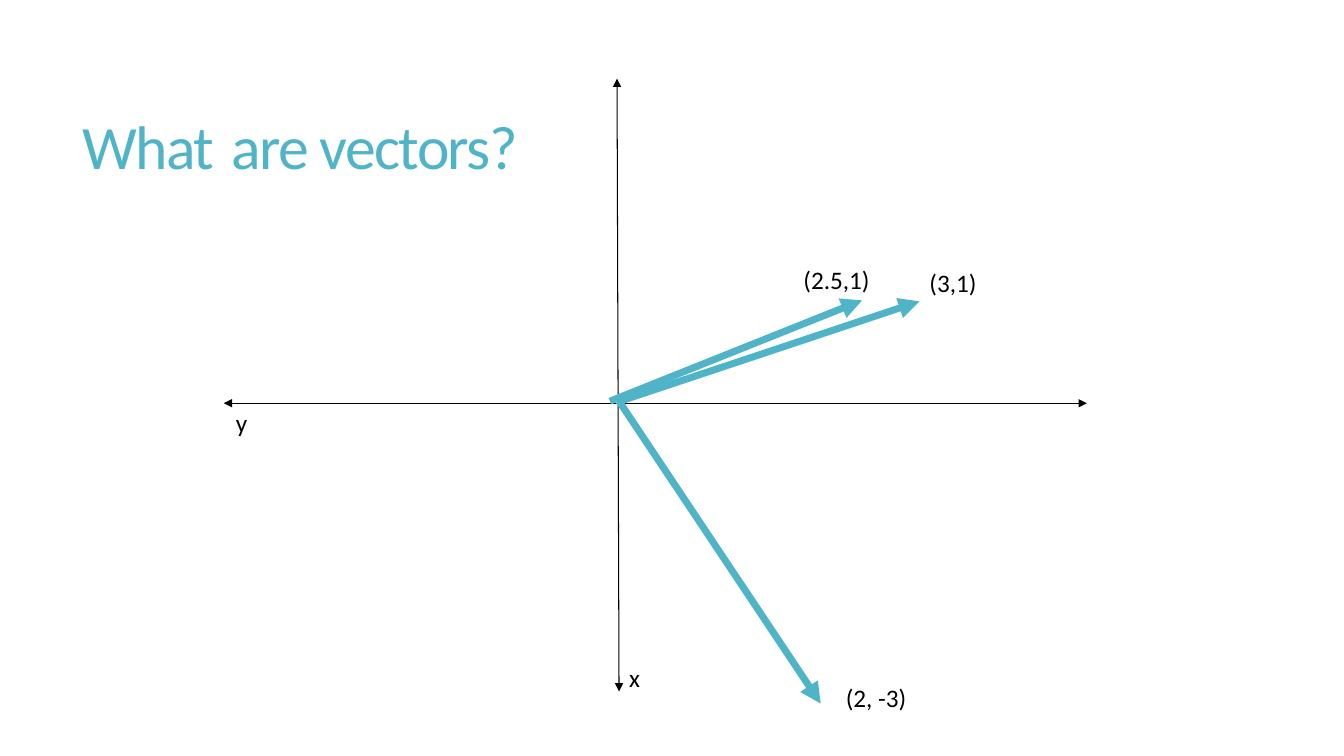
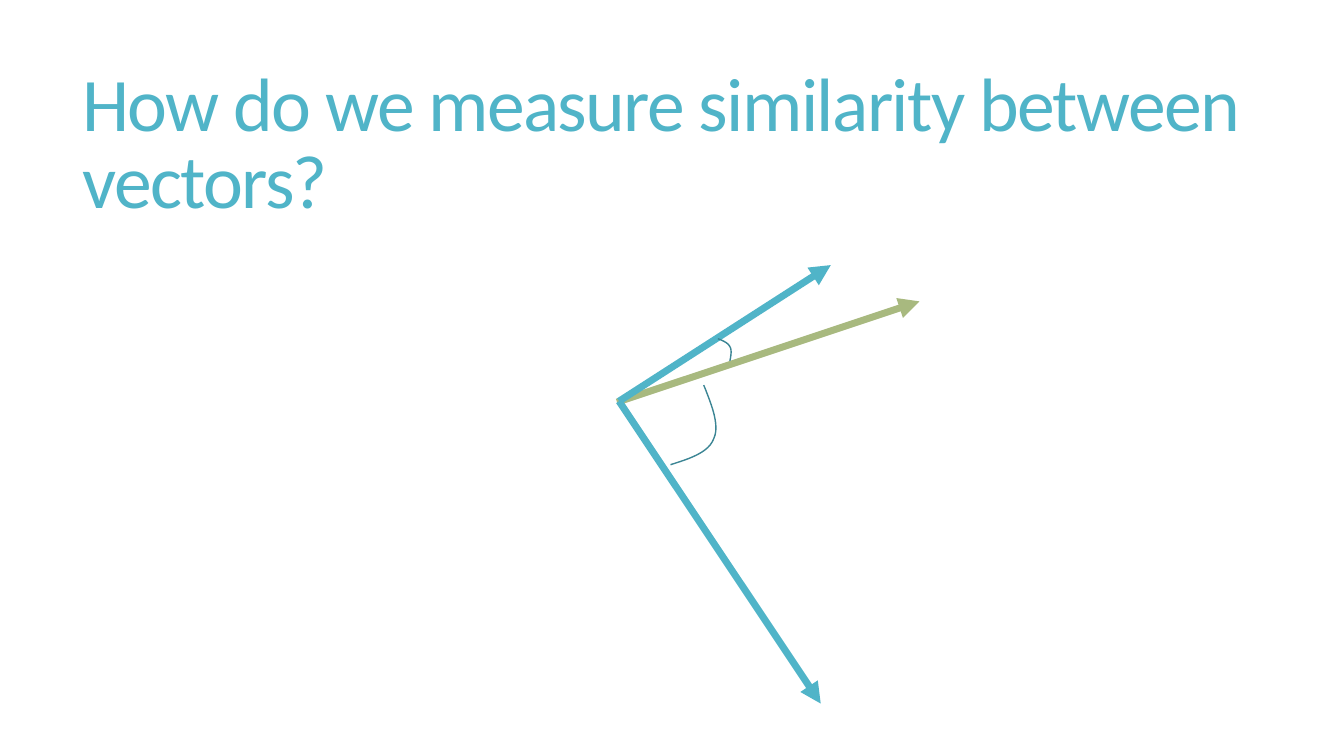
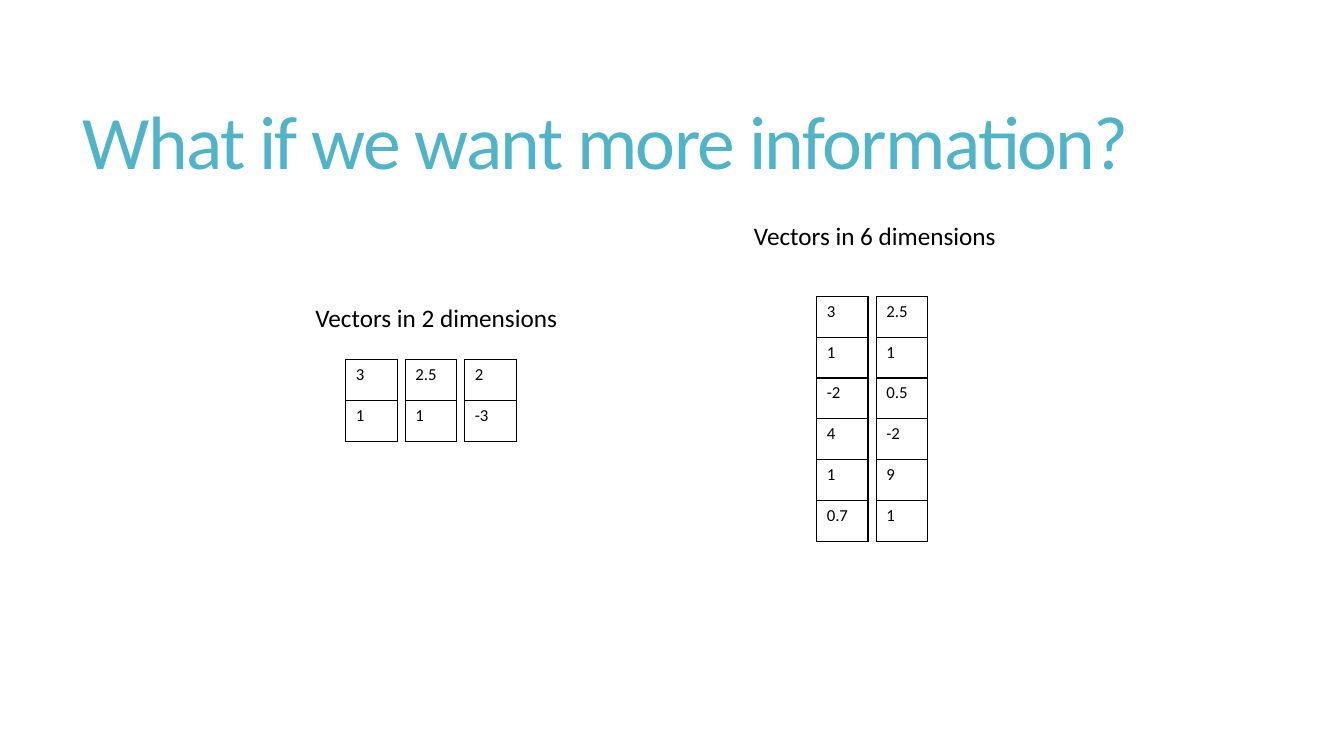
from lxml.etree import SubElement
from pptx import Presentation
from pptx.dml.color import RGBColor
from pptx.enum.shapes import MSO_CONNECTOR
from pptx.enum.text import MSO_ANCHOR, MSO_AUTO_SIZE
from pptx.oxml import parse_xml
from pptx.oxml.ns import nsdecls, qn
from pptx.util import Inches, Pt

FONT = "Calibri"
TEAL = RGBColor(0x50, 0xB4, 0xC8)
DARK_TEAL = RGBColor(0x3B, 0x85, 0x94)
OLIVE = RGBColor(0xA8, 0xB9, 0x7F)
BLACK = RGBColor(0, 0, 0)

TITLE_BOX = (0.72, 0.55, 11.78, 1.81)
LABEL_HEIGHT = 0.4
VECTOR_WIDTH = 5
CELL_WIDTH, CELL_HEIGHT = 0.51, 0.405
COLUMN_PITCH = 0.59
CURVE_STEPS = 12


def add_text(slide, box, runs, title=False):
    """Add a line of text from (text, size) runs, as a title or a label."""
    frame = slide.shapes.add_textbox(*map(Inches, box)).text_frame
    frame.word_wrap = title
    paragraph = frame.paragraphs[0]
    if title:
        frame.vertical_anchor = MSO_ANCHOR.MIDDLE
        paragraph.line_spacing = 0.85
    else:
        frame.auto_size = MSO_AUTO_SIZE.SHAPE_TO_FIT_TEXT
    for text, size in runs:
        run = paragraph.add_run()
        run.text = text
        run.font.name = FONT
        run.font.size = Pt(size)
        run.font.color.rgb = TEAL if title else BLACK
        if title:
            run.font._element.set("spc", "-120")


def add_arrow(slide, start, end, color, width, ends=("tailEnd",)):
    arrow = slide.shapes.add_connector(
        MSO_CONNECTOR.STRAIGHT, *map(Inches, start + end))
    arrow.line.color.rgb = color
    arrow.line.width = Pt(width)
    for name in ends:
        SubElement(arrow.line._get_or_add_ln(), qn(f"a:{name}"), type="triangle")
    SubElement(arrow._element.spPr, qn("a:effectLst"))


prs = Presentation()
prs.slide_width = Inches(13.33)
prs.slide_height = Inches(7.5)

titles = [
    [("What", 44), (" ", 54), ("are vectors?", 44)],
    [("How do we measure similarity between vectors?", 54)],
    [("What if we want more information?", 54)],
]
for title in titles:
    add_text(prs.slides.add_slide(prs.slide_layouts[6]), TITLE_BOX, title, title=True)
vectors_slide, similarity_slide, dimensions_slide = prs.slides

# Vectors on a pair of axes
for start, end in [((2.22, 4), (10.78, 4)), ((6.14, 6.86), (6.12, 0.78))]:
    add_arrow(vectors_slide, start, end, BLACK, 0.75, ("headEnd", "tailEnd"))

for start, end in [((6.12, 3.99), (9.12, 2.99)),
                   ((6.05, 3.98), (8.55, 2.98)),
                   ((6.14, 3.98), (8.14, 6.98))]:
    add_arrow(vectors_slide, start, end, TEAL, VECTOR_WIDTH)

for text, left, top, width in [("x", 6.14, 6.52, 0.25),
                               ("y", 2.24, 3.99, 0.32),
                               ("(3,1)", 9.12, 2.6, 0.68),
                               ("(2.5,1)", 7.87, 2.57, 0.89),
                               ("(2, -3)", 8.29, 6.72, 0.81)]:
    add_text(vectors_slide, (left, top, width, LABEL_HEIGHT), [(text, 18)])

# Angles between vectors
for start, end, color in [((6.12, 3.99), (9.12, 2.99), OLIVE),
                          ((6.14, 3.98), (8.24, 2.63), TEAL),
                          ((6.14, 3.98), (8.14, 6.98), TEAL)]:
    add_arrow(similarity_slide, start, end, color, VECTOR_WIDTH)

# Each angle mark is two cubic curves that share their middle point
wide_angle = [(6.98, 3.82), (7.06, 4.02), (7.14, 4.22), (7.08, 4.35),
              (7.03, 4.49), (6.84, 4.55), (6.65, 4.61)]
narrow_angle = [(7.12, 3.36), (7.17, 3.38), (7.22, 3.4), (7.24, 3.44),
                (7.26, 3.47), (7.25, 3.53), (7.24, 3.58)]
for controls in (wide_angle, narrow_angle):
    points = []
    for first in (0, 3):
        for step in range(1, CURVE_STEPS + 1):
            t = step / CURVE_STEPS
            weights = ((1 - t) ** 3, 3 * t * (1 - t) ** 2, 3 * t ** 2 * (1 - t), t ** 3)
            curve = controls[first:first + 4]
            points.append(tuple(
                Inches(sum(w * point[axis] for w, point in zip(weights, curve)))
                for axis in (0, 1)))
    builder = similarity_slide.shapes.build_freeform(*map(Inches, controls[0]))
    builder.add_line_segments(points, close=False)
    angle_mark = builder.convert_to_shape()
    angle_mark.shadow.inherit = False
    angle_mark.fill.background()
    angle_mark.line.color.rgb = DARK_TEAL
    angle_mark.line.width = Pt(1)

# Column vectors as tables
vector_groups = [
    ("Vectors in 2 dimensions", (3.03, 2.95), (3.43, 3.57),
     [["3", "1"], ["2.5", "1"], ["2", "-3"]]),
    ("Vectors in 6 dimensions", (7.38, 2.14), (8.1, 2.94),
     [["3", "1", "-2", "4", "1", "0.7"], ["2.5", "1", "0.5", "-2", "9", "1"]]),
]
for heading, heading_corner, (left, top), vectors in vector_groups:
    for index, values in enumerate(vectors):
        table = dimensions_slide.shapes.add_table(
            len(values), 1, Inches(left + index * COLUMN_PITCH), Inches(top),
            Inches(CELL_WIDTH), Inches(CELL_HEIGHT * len(values))).table
        table.first_row = False
        table.horz_banding = False
        for row, value in enumerate(values):
            cell = table.cell(row, 0)
            run = cell.text_frame.paragraphs[0].add_run()
            run.text = value
            run.font.name = FONT
            run.font.size = Pt(12)
            run.font.color.rgb = BLACK
            cell.fill.background()
            properties = cell._tc.get_or_add_tcPr()
            for position, side in enumerate(("lnL", "lnR", "lnT", "lnB")):
                properties.insert(position, parse_xml(
                    f'<a:{side} {nsdecls("a")} w="{Pt(1)}"><a:solidFill>'
                    f'<a:srgbClr val="{BLACK}"/></a:solidFill></a:{side}>'))
    add_text(dimensions_slide, (*heading_corner, 2.63, LABEL_HEIGHT), [(heading, 18)])

prs.save("out.pptx")
